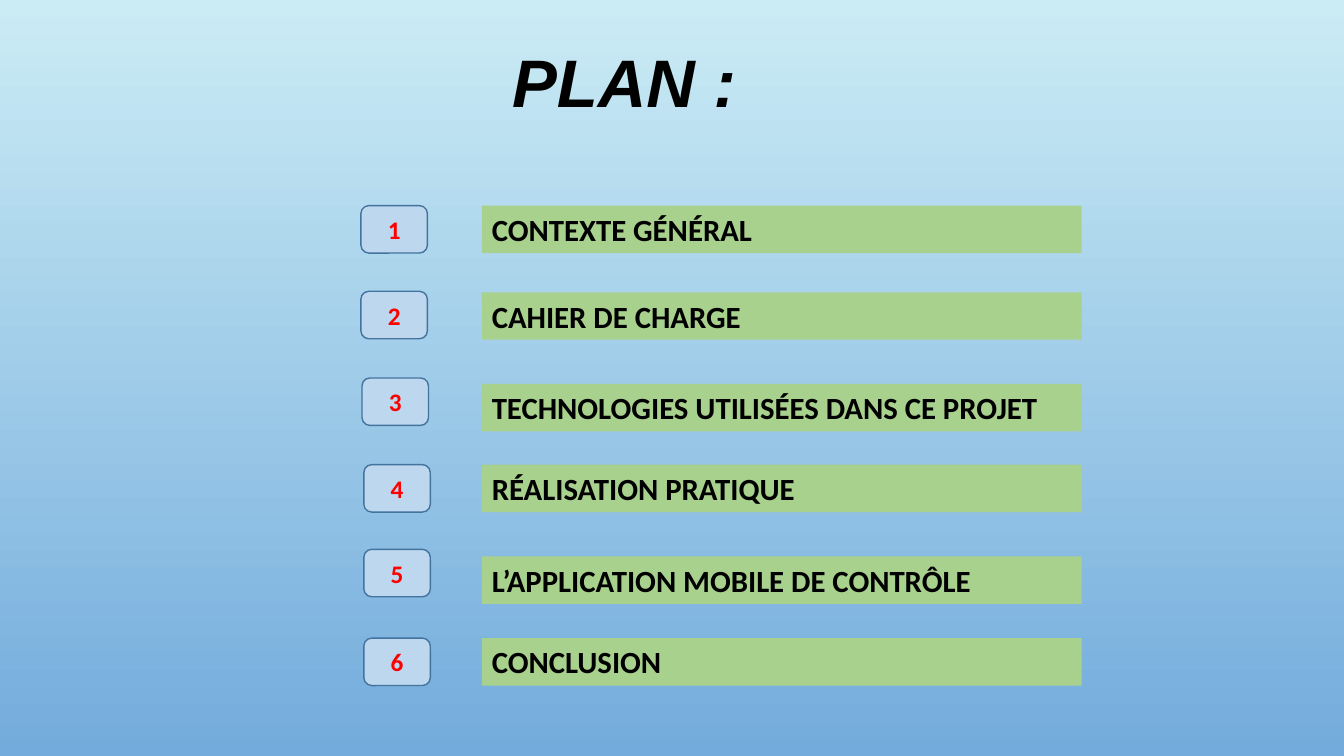
import pptx
import pptx.dml.color
import pptx.enum.shapes
import pptx.enum.text
import pptx.util

Pt = pptx.util.Pt
Shape = pptx.enum.shapes.MSO_SHAPE
Align = pptx.enum.text.PP_ALIGN
Anchor = pptx.enum.text.MSO_ANCHOR


def color(hex_value):
    return pptx.dml.color.RGBColor.from_string(hex_value)


class PlanSlide:
    """Holds the slide and its style; all lengths are in points."""

    BLACK, RED = "000000", "FF0000"
    GREEN, PALE_BLUE, EDGE_BLUE = "A9D18E", "BDD7EE", "43739E"
    SKY = ("CBECF5", "73ABDC")
    ROW_HEIGHT = 33.9

    def __init__(self, presentation):
        self.slide = presentation.slides.add_slide(presentation.slide_layouts[5])

    def background(self):
        fill = self.slide.background.fill
        fill.gradient()
        fill.gradient_angle = 270
        for stop, hex_value in zip(fill.gradient_stops, self.SKY):
            stop.color.rgb = color(hex_value)

    def set_text(self, shape, text, size, hex_value, align, anchor, font="Calibri"):
        frame = shape.text_frame
        frame.text = text
        frame.word_wrap = True
        frame.auto_size = pptx.enum.text.MSO_AUTO_SIZE.NONE
        frame.vertical_anchor = anchor
        paragraph = frame.paragraphs[0]
        paragraph.alignment = align
        paragraph.font.name = font
        paragraph.font.size = Pt(size)
        paragraph.font.bold = True
        paragraph.font.color.rgb = color(hex_value)
        return paragraph

    def title(self, text, left, top, width, height):
        shape = self.slide.shapes.title
        shape.left, shape.top = Pt(left), Pt(top)
        shape.width, shape.height = Pt(width), Pt(height)
        paragraph = self.set_text(shape, text, 48, self.BLACK, Align.CENTER,
                                  Anchor.BOTTOM, "Arial")
        paragraph.font.italic = True
        paragraph.line_spacing = 0.9

    def box(self, kind, left, top, width, fill):
        shape = self.slide.shapes.add_shape(
            kind, Pt(left), Pt(top), Pt(width), Pt(self.ROW_HEIGHT))
        shape.shadow.inherit = False
        shape.fill.solid()
        shape.fill.fore_color.rgb = color(fill)
        return shape

    def bar(self, text, top):
        shape = self.box(Shape.RECTANGLE, 344.2, top, 428.4, self.GREEN)
        shape.line.fill.background()
        self.set_text(shape, text, 22, self.BLACK, Align.LEFT, Anchor.TOP)

    def badge(self, number, left, top):
        shape = self.box(Shape.ROUNDED_RECTANGLE, left, top, 47.5, self.PALE_BLUE)
        shape.line.color.rgb = color(self.EDGE_BLUE)
        shape.line.width = Pt(1)
        self.set_text(shape, str(number), 18, self.RED, Align.CENTER, Anchor.MIDDLE)


# Section name, bar top, badge left, badge top
SECTIONS = [
    ("CONTEXTE GÉNÉRAL", 146.9, 257.8, 146.9),
    ("CAHIER DE CHARGE", 208.8, 257.8, 208.1),
    ("TECHNOLOGIES UTILISÉES DANS CE PROJET", 274.3, 258.6, 270),
    ("RÉALISATION PRATIQUE", 331.9, 259.9, 331.9),
    ("L’APPLICATION MOBILE DE CONTRÔLE", 397.5, 259.9, 392.4),
    ("CONCLUSION", 455.8, 259.9, 455.8),
]


def main():
    presentation = pptx.Presentation()
    presentation.slide_width, presentation.slide_height = Pt(960), Pt(540)
    plan = PlanSlide(presentation)

    # Background and title
    plan.background()
    plan.title("PLAN : ", 172, 15.8, 561, 75)

    # Numbered sections
    for number, (name, bar_top, badge_left, badge_top) in enumerate(SECTIONS, 1):
        plan.bar(name, bar_top)
        plan.badge(number, badge_left, badge_top)

    presentation.save("out.pptx")


if __name__ == "__main__":
    main()
